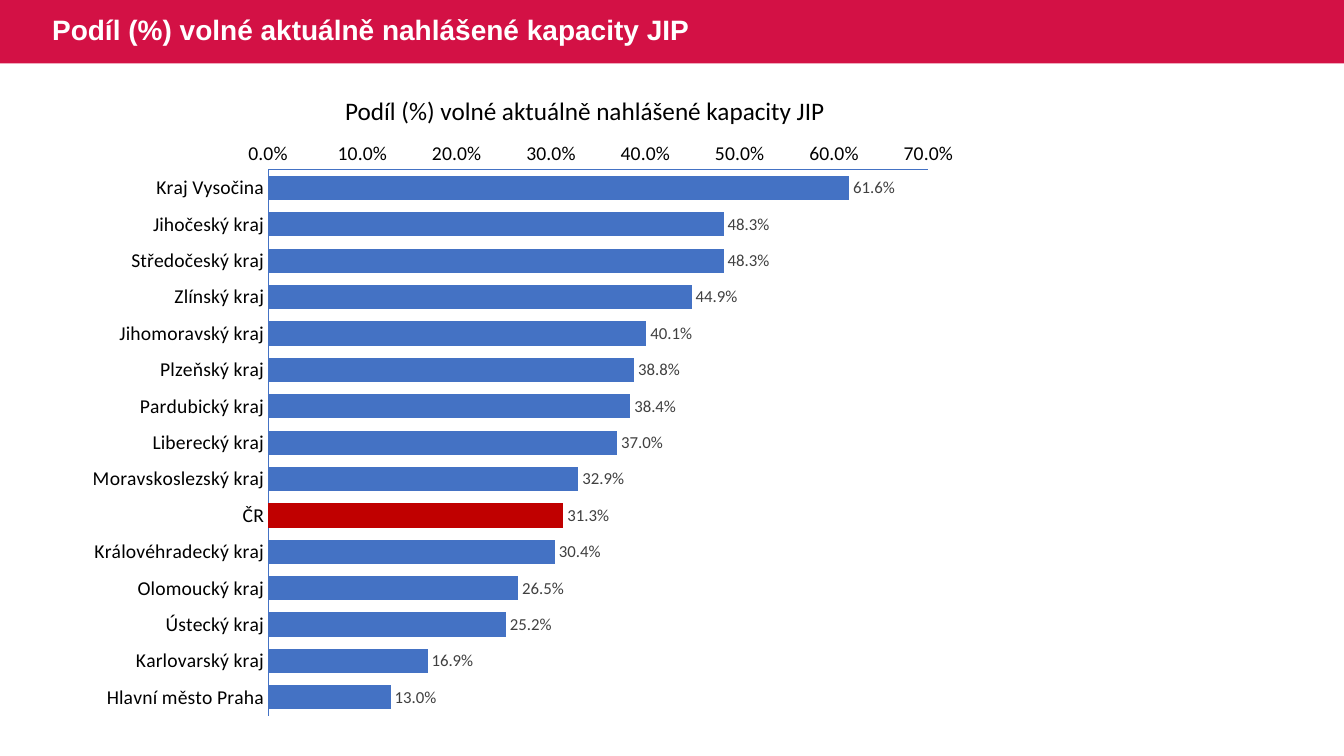
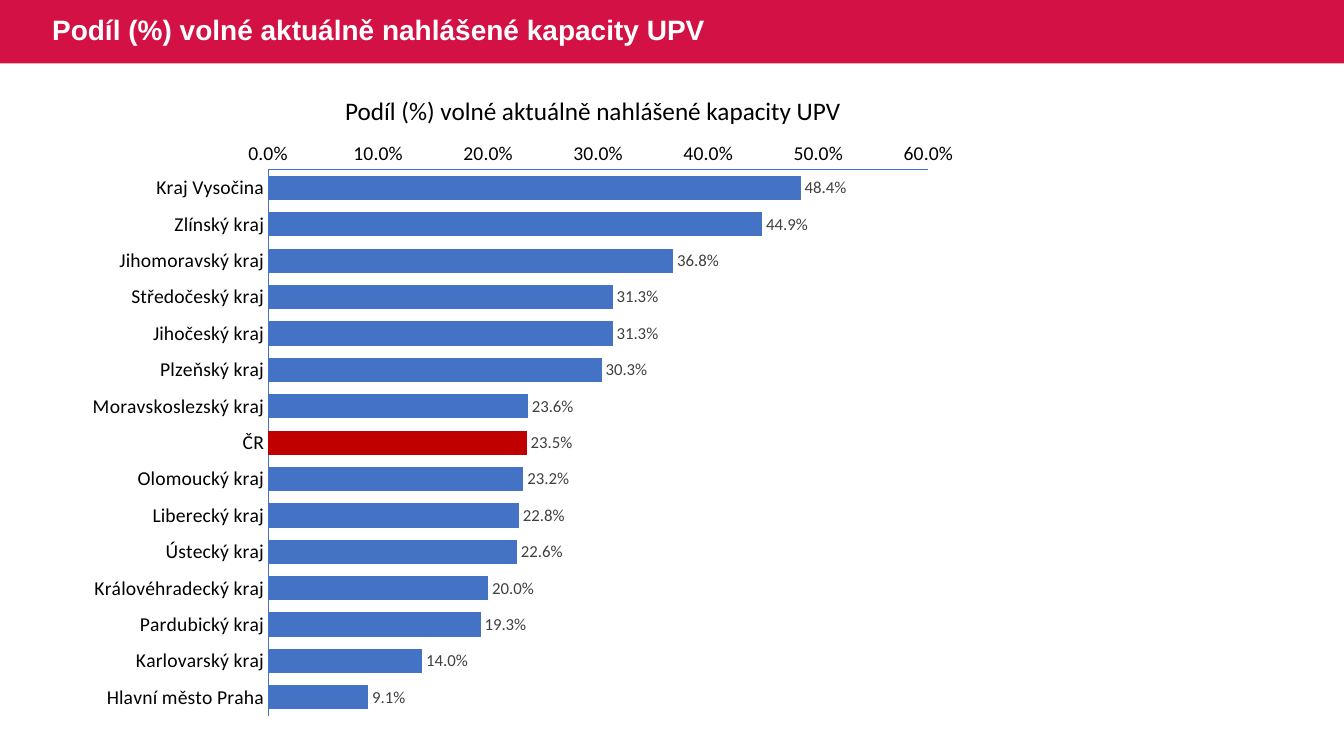
from dataclasses import dataclass

from lxml import etree
from pptx import Presentation
from pptx.chart.data import CategoryChartData
from pptx.dml.color import RGBColor
from pptx.enum import chart as chart_enum, shapes, text
from pptx.oxml import parse_xml
from pptx.oxml.ns import nsdecls, qn
from pptx.util import Pt


@dataclass(frozen=True)
class Theme:
    band: RGBColor = RGBColor(0xD3, 0x11, 0x45)
    title_color: RGBColor = RGBColor(0xFF, 0xFF, 0xFF)
    ink: RGBColor = RGBColor(0x00, 0x00, 0x00)
    label_color: RGBColor = RGBColor(0x40, 0x40, 0x40)
    bar: RGBColor = RGBColor(0x44, 0x72, 0xC4)
    country_bar: RGBColor = RGBColor(0xC0, 0x00, 0x00)
    title_font: str = "Arial"
    body_font: str = "Calibri"
    title_size: int = 20
    heading_size: int = 18
    axis_size: int = 14
    label_size: int = 12
    chart_size: int = 10


theme = Theme()
COUNTRY = "ČR"
BAND_HEIGHT = 45.2

# Each slide: title, end of the value axis, shares from highest to lowest
capacity_slides = [
    ("Podíl (%) volné aktuálně nahlášené kapacity JIP", 0.7, {
        "Kraj Vysočina": 0.616,
        "Jihočeský kraj": 0.483,
        "Středočeský kraj": 0.483,
        "Zlínský kraj": 0.449,
        "Jihomoravský kraj": 0.401,
        "Plzeňský kraj": 0.388,
        "Pardubický kraj": 0.384,
        "Liberecký kraj": 0.37,
        "Moravskoslezský kraj": 0.329,
        COUNTRY: 0.313,
        "Královéhradecký kraj": 0.304,
        "Olomoucký kraj": 0.265,
        "Ústecký kraj": 0.252,
        "Karlovarský kraj": 0.169,
        "Hlavní město Praha": 0.13,
    }),
    ("Podíl (%) volné aktuálně nahlášené kapacity UPV", 0.6, {
        "Kraj Vysočina": 0.484,
        "Zlínský kraj": 0.449,
        "Jihomoravský kraj": 0.368,
        "Středočeský kraj": 0.313,
        "Jihočeský kraj": 0.313,
        "Plzeňský kraj": 0.303,
        "Moravskoslezský kraj": 0.236,
        COUNTRY: 0.235,
        "Olomoucký kraj": 0.232,
        "Liberecký kraj": 0.228,
        "Ústecký kraj": 0.226,
        "Královéhradecký kraj": 0.2,
        "Pardubický kraj": 0.193,
        "Karlovarský kraj": 0.14,
        "Hlavní město Praha": 0.091,
    }),
]


def set_font(font, name, size, color, bold=False):
    font.name = name
    font.size = Pt(size)
    font.color.rgb = color
    font.bold = bold


def set_plot_area(chart, x, y, width, height):
    """Fix the inner plot area, in fractions of the chart."""
    plot_area = chart._chartSpace.chart.plotArea
    for old_layout in plot_area.findall(qn("c:layout")):
        plot_area.remove(old_layout)
    layout = parse_xml(f"<c:layout {nsdecls('c')}><c:manualLayout/></c:layout>")
    settings = {"layoutTarget": "inner", "xMode": "edge", "yMode": "edge",
                "x": x, "y": y, "w": width, "h": height}
    for name, value in settings.items():
        etree.SubElement(layout[0], qn(f"c:{name}")).set("val", str(value))
    plot_area.insert(0, layout)


presentation = Presentation()
presentation.slide_width = Pt(960)
presentation.slide_height = Pt(540)
title_only = presentation.slide_layouts[5]

for index, (title_text, axis_end, shares) in enumerate(capacity_slides):
    slide = presentation.slides.add_slide(title_only)

    # Band, made once and moved behind everything in the shared layout
    if index == 0:
        band = slide.shapes.add_shape(
            shapes.MSO_SHAPE.RECTANGLE, 0, 0, presentation.slide_width, Pt(BAND_HEIGHT))
        band.shadow.inherit = False
        band.fill.solid()
        band.fill.fore_color.rgb = theme.band
        band.line.fill.background()
        title_only.shapes._spTree.insert(2, band._element)

    # Title
    title = slide.shapes.title
    title.left, title.top, title.width, title.height = Pt(30), 0, Pt(832), Pt(BAND_HEIGHT)
    title.text_frame.text = title_text
    title.text_frame.auto_size = text.MSO_AUTO_SIZE.NONE
    title.text_frame.vertical_anchor = text.MSO_ANCHOR.MIDDLE
    paragraph = title.text_frame.paragraphs[0]
    paragraph.alignment = text.PP_ALIGN.LEFT
    paragraph.line_spacing = 0.9
    set_font(paragraph.font, theme.title_font, theme.title_size, theme.title_color, bold=True)

    # Bar chart
    chart_data = CategoryChartData(number_format="0.0%")
    chart_data.categories = list(shares)
    chart_data.add_series("Series 1", list(shares.values()))
    chart = slide.shapes.add_chart(
        chart_enum.XL_CHART_TYPE.BAR_CLUSTERED,
        Pt(53.3), Pt(93.6), Pt(640), Pt(427), chart_data).chart
    set_font(chart.font, theme.body_font, theme.chart_size, theme.ink)
    chart.has_title = False
    chart.has_legend = False
    set_plot_area(chart, 0.216, 0.065, 0.737, 0.913)

    # Axes, with the highest share on top
    for axis in (chart.category_axis, chart.value_axis):
        axis.has_major_gridlines = False
        axis.major_tick_mark = chart_enum.XL_TICK_MARK.NONE
        axis.minor_tick_mark = chart_enum.XL_TICK_MARK.NONE
        axis.format.line.color.rgb = theme.bar
        axis.format.line.width = Pt(0.75)
        set_font(axis.tick_labels.font, theme.body_font, theme.axis_size, theme.ink)
    chart.category_axis.reverse_order = True
    chart.value_axis.minimum_scale = 0
    chart.value_axis.maximum_scale = axis_end
    chart.value_axis.major_unit = 0.1
    chart.value_axis.tick_labels.number_format = "0.0%"
    chart.value_axis.tick_labels.number_format_is_linked = False

    # Bars and their values, the whole country highlighted
    plot = chart.plots[0]
    plot.gap_width = 50
    plot.vary_by_categories = False
    series = plot.series[0]
    country_point = series.points[list(shares).index(COUNTRY)]
    for bar, color in ((series, theme.bar), (country_point, theme.country_bar)):
        bar.format.fill.solid()
        bar.format.fill.fore_color.rgb = color
    labels = series.data_labels
    labels.show_value = True
    labels.position = chart_enum.XL_LABEL_POSITION.OUTSIDE_END
    labels.number_format = "0.0%"
    labels.number_format_is_linked = False
    set_font(labels.font, theme.body_font, theme.label_size, theme.label_color)

    # Chart heading
    heading = slide.shapes.add_textbox(Pt(239.5), Pt(64.3), Pt(370), Pt(29))
    heading.text_frame.word_wrap = False
    heading.text_frame.auto_size = text.MSO_AUTO_SIZE.SHAPE_TO_FIT_TEXT
    heading.text_frame.text = title_text
    set_font(heading.text_frame.paragraphs[0].font,
             theme.body_font, theme.heading_size, theme.ink)

presentation.save("out.pptx")
